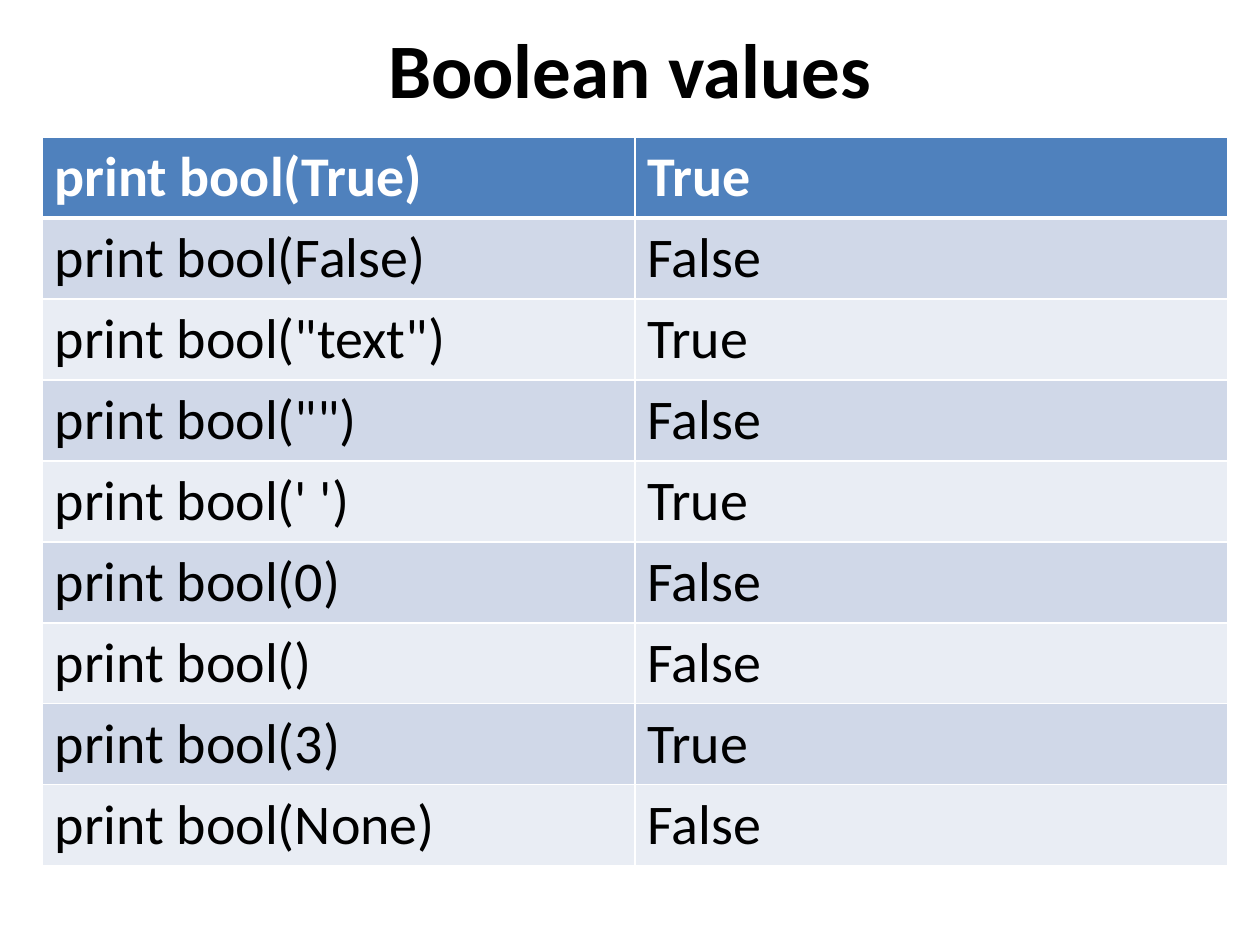
"""Build a slide with a table of Boolean values."""
from lxml import etree
from pptx import Presentation
from pptx.dml.color import RGBColor
from pptx.enum.text import MSO_ANCHOR, PP_ALIGN
from pptx.oxml.ns import qn
from pptx.util import Emu, Pt

CENTER = PP_ALIGN.CENTER
MIDDLE = MSO_ANCHOR.MIDDLE
BLACK, WHITE = "000000", "FFFFFF"
HEADER, BANDS = "4F81BD", ("E9EDF4", "D0D8E8")
ROWS = [
    ("print bool(True)", "True"),
    ("print bool(False)", "False"),
    ('print bool("text")', "True"),
    ('print bool("")', "False"),
    ("print bool(' ')", "True"),
    ("print bool(0)", "False"),
    ("print bool()", "False"),
    ("print bool(3)", "True"),
    ("print bool(None)", "False"),
]


def px(n):
    return Emu(round(n * 914400 / 126))


def rgb(color):
    return RGBColor.from_string(color)


class Deck:
    def __init__(self, font):
        self.font = font
        self.prs = Presentation()
        self.prs.slide_width, self.prs.slide_height = px(1260), px(945)
        self.s = self.prs.slides.add_slide(self.prs.slide_layouts[6])

    def style(self, p, size, color, bold):
        for r in p.runs:
            r.font.name, r.font.size, r.font.bold = self.font, Pt(size), bold
            r.font.color.rgb = rgb(color)

    def title(self, text, x, y, w, h, size):
        tf = self.s.shapes.add_textbox(px(x), px(y), px(w), px(h)).text_frame
        tf.word_wrap, tf.vertical_anchor = True, MIDDLE
        tf.text = text
        p = tf.paragraphs[0]
        p.alignment = CENTER
        self.style(p, size, BLACK, True)

    def border(self, cell, side, width):
        ln = etree.SubElement(cell._tc.get_or_add_tcPr(), qn(f"a:ln{side}"), w=str(Pt(width)))
        fill = etree.SubElement(ln, qn("a:solidFill"))
        etree.SubElement(fill, qn("a:srgbClr"), val=WHITE)

    def table(self, rows, x, y, col_w, row_h, size):
        cols = len(rows[0])
        table = self.s.shapes.add_table(
            len(rows), cols, px(x), px(y), px(cols * col_w), px(len(rows) * row_h)).table
        for i, values in enumerate(rows):
            table.rows[i].height = px(row_h)
            for j, text in enumerate(values):
                cell = table.cell(i, j)
                cell.text = text
                self.style(cell.text_frame.paragraphs[0], size, BLACK if i else WHITE, i == 0)
                for side in "LRTB":
                    header_edge = (i, side) in ((0, "B"), (1, "T"))
                    self.border(cell, side, 3 if header_edge else 1)
                cell.fill.solid()
                cell.fill.fore_color.rgb = rgb(BANDS[i % 2] if i else HEADER)


def main():
    deck = Deck("Calibri")
    deck.title("Boolean values", 63, 10, 1134, 116, 44)
    deck.table(ROWS, 42, 137, 593, 81, 32)
    deck.prs.save("out.pptx")


if __name__ == "__main__":
    main()
